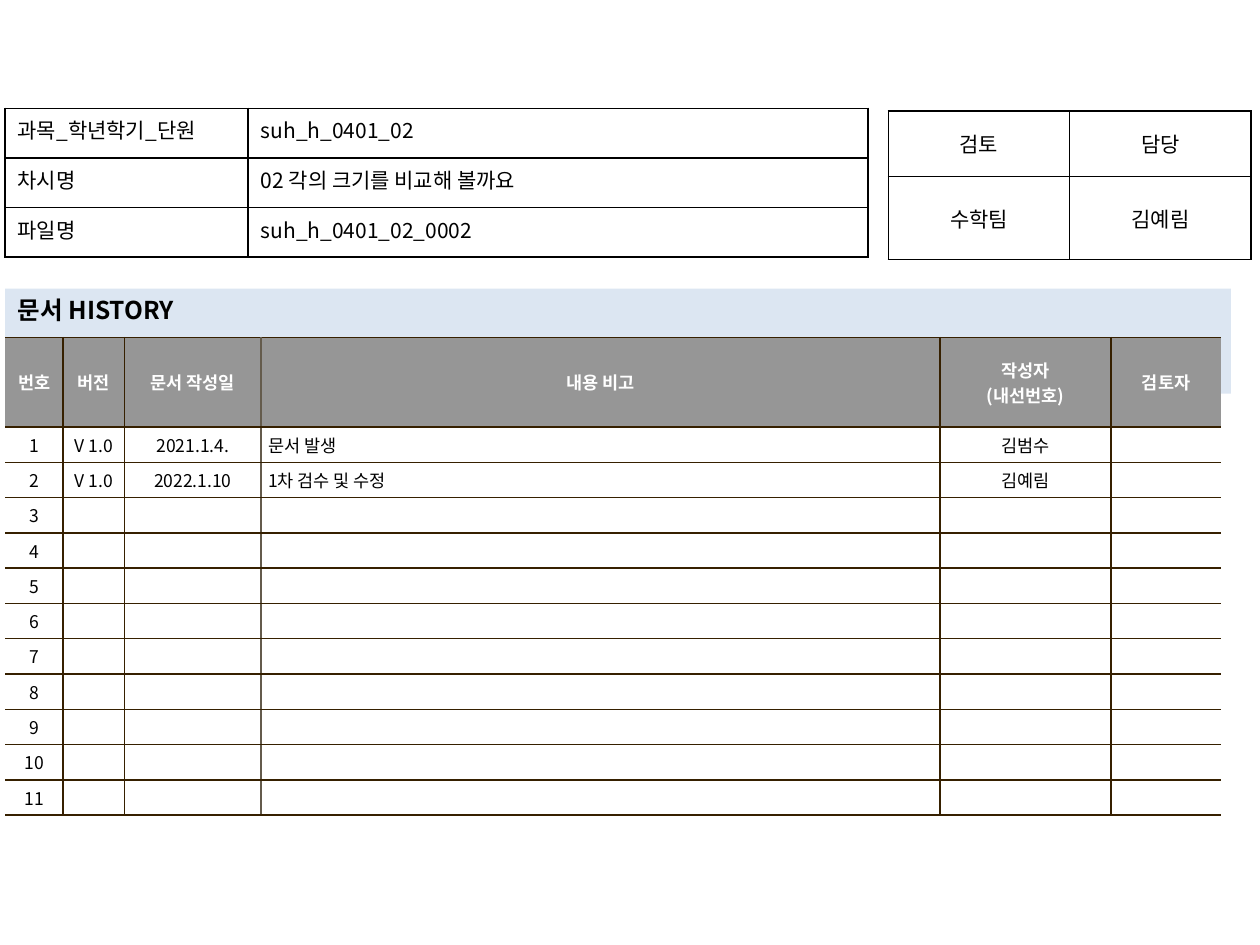
"""Build the document history page of a lesson storyboard."""
from dataclasses import dataclass, field

from lxml.etree import SubElement
from pptx import Presentation
from pptx.dml.color import RGBColor
from pptx.enum.text import MSO_ANCHOR, MSO_AUTO_SIZE, PP_ALIGN
from pptx.oxml.ns import qn
from pptx.util import Inches, Pt

SLIDE_WIDTH, SLIDE_HEIGHT = Inches(10), Inches(7.5)
UNIT = SLIDE_WIDTH / 100
FONT = "Noto Sans CJK KR"
COLORS = {
    "black": "000000",
    "white": "FFFFFF",
    "bar": "DCE6F2",
    "header": "969696",
    "brown": "362000",
    "taupe": "645B4C",
}
LEFT, CENTER, JUSTIFY = PP_ALIGN.LEFT, PP_ALIGN.CENTER, PP_ALIGN.JUSTIFY


@dataclass
class TextStyle:
    """Look of a run of text."""

    size: float
    color: str = "black"
    bold: bool = False


@dataclass
class Grid:
    """A table measured in units of one hundredth of the slide width."""

    left: float
    top: float
    columns: list[float]
    rows: list[float]
    texts: list[list[str]]
    aligns: list[PP_ALIGN]
    style: TextStyle
    line: str
    margins: tuple[float, float] = (1, 0.5)
    anchor: MSO_ANCHOR = MSO_ANCHOR.MIDDLE
    header_style: TextStyle | None = None
    body_fill: str | None = None
    open_sides: bool = False
    column_lines: dict[int, str] = field(default_factory=dict)
    hanging: dict[int, float] = field(default_factory=dict)


def units(value: float) -> int:
    """Turn grid units into a length."""
    return round(value * UNIT)


def rgb(name: str) -> RGBColor:
    """Look up a named colour."""
    return RGBColor.from_string(COLORS[name])


def apply(target: object, values: dict) -> None:
    """Set attributes from a dict of format values."""
    for name, value in values.items():
        setattr(target, name, value)


def write(para, text: str, style: TextStyle, align: PP_ALIGN) -> None:
    """Put one styled span in a paragraph, or size an empty one."""
    para.alignment = align
    if not text:
        SubElement(para._p, qn("a:endParaRPr"), sz=str(style.size * 100))
        return
    span = para.add_run()
    span.text = text
    apply(span.font, {"name": FONT, "size": Pt(style.size), "bold": style.bold})
    span.font.color.rgb = rgb(style.color)
    SubElement(span.font._element, qn("a:ea"), typeface=FONT)


def draw_borders(cell, sides: dict[str, str | None]) -> None:
    """Line the sides of a cell, leaving out those without a colour."""
    properties = cell._tc.get_or_add_tcPr()
    for index, (side, color) in enumerate(sides.items()):
        line = SubElement(properties, qn(f"a:ln{side}"), w=str(Pt(1)))
        properties.insert(index, line)
        if color:
            fill = SubElement(line, qn("a:solidFill"))
            SubElement(fill, qn("a:srgbClr"), val=COLORS[color])
        else:
            SubElement(line, qn("a:noFill"))


def draw_cell(cell, grid: Grid, row: int, column: int) -> None:
    """Fill, line and write one cell of a grid."""
    is_header = row == 0 and grid.header_style is not None
    style = grid.header_style if is_header else grid.style
    fill = "header" if is_header else grid.body_fill
    across, down = map(units, grid.margins)
    apply(cell, {
        "margin_left": across, "margin_right": across,
        "margin_top": down, "margin_bottom": down,
        "vertical_anchor": grid.anchor,
    })
    if fill:
        cell.fill.solid()
        cell.fill.fore_color.rgb = rgb(fill)
    else:
        cell.fill.background()

    edges = [grid.column_lines.get(edge, grid.line) for edge in range(len(grid.columns) + 1)]
    if grid.open_sides:
        edges[0] = edges[-1] = None
    draw_borders(cell, {"L": edges[column], "R": edges[column + 1], "T": grid.line, "B": grid.line})

    frame = cell.text_frame
    for index, text in enumerate(grid.texts[row][column].split("\n")):
        para = frame.add_paragraph() if index else frame.paragraphs[0]
        if column in grid.hanging and not is_header:
            hang = units(grid.hanging[column])
            properties = para._p.get_or_add_pPr()
            properties.set("marL", str(hang))
            properties.set("indent", str(-hang))
        write(para, text, style, CENTER if is_header else grid.aligns[column])


def draw_grid(page, grid: Grid) -> None:
    """Add a grid to the page as a table."""
    table = page.shapes.add_table(
        len(grid.rows), len(grid.columns), units(grid.left), units(grid.top),
        units(sum(grid.columns)), units(sum(grid.rows)),
    ).table
    apply(table, {"first_row": False, "horz_banding": False})
    for column, width in zip(table.columns, grid.columns):
        column.width = units(width)
    for row, height in zip(table.rows, grid.rows):
        row.height = units(height)
    for row in range(len(grid.rows)):
        for column in range(len(grid.columns)):
            draw_cell(table.cell(row, column), grid, row, column)


def draw_title(page, text: str) -> None:
    """Turn the title placeholder into the heading bar."""
    box = page.shapes.title
    apply(box, {"left": units(0.4), "top": units(22.9), "width": units(97.3), "height": units(3.4)})
    box.fill.solid()
    box.fill.fore_color.rgb = rgb("bar")
    frame = box.text_frame
    apply(frame, {
        "word_wrap": True, "auto_size": MSO_AUTO_SIZE.SHAPE_TO_FIT_TEXT,
        "vertical_anchor": MSO_ANCHOR.TOP,
    })
    write(frame.paragraphs[0], text, TextStyle(14, bold=True), LEFT)


ENTRIES = [
    ["V 1.0", "2021.1.4.", "문서 발생", "김범수", ""],
    ["V 1.0", "2022.1.10", "1차 검수 및 수정", "김예림", ""],
]
ENTRY_COUNT = 11
BLANK_ENTRIES = [[""] * 5] * (ENTRY_COUNT - len(ENTRIES))

HISTORY = Grid(
    0.4, 26.8, [4.6, 4.9, 10.8, 53.9, 13.6, 8.7], [7.1] + [2.8] * ENTRY_COUNT,
    [["번호", "버전", "문서 작성일", "내용 비고", "작성자\n(내선번호)", "검토자"]]
    + [[str(number), *entry] for number, entry in enumerate(ENTRIES + BLANK_ENTRIES, 1)],
    [CENTER, CENTER, CENTER, LEFT, CENTER, CENTER], TextStyle(10), "brown",
    margins=(0.6, 0.4), header_style=TextStyle(10, "white", True), body_fill="white",
    open_sides=True, column_lines={3: "taupe"}, hanging={3: 1.9},
)
REVIEW = Grid(
    70.5, 8.8, [14.4] * 2, [5.2, 6.6],
    [["검토", "담당"], ["수학팀", "김예림"]],
    [CENTER, CENTER], TextStyle(12), "black",
)
LESSON = Grid(
    0.4, 8.6, [19.3, 49.2], [11.8 / 3] * 3,
    [
        ["과목_학년학기_단원", "suh_h_0401_02"],
        ["차시명", "02 각의 크기를 비교해 볼까요"],
        ["파일명", "suh_h_0401_02_0002"],
    ],
    [JUSTIFY, LEFT], TextStyle(12), "black", anchor=MSO_ANCHOR.TOP,
)


def main() -> None:
    """Build and save the deck."""
    deck = Presentation()
    apply(deck, {"slide_width": SLIDE_WIDTH, "slide_height": SLIDE_HEIGHT})
    page = deck.slides.add_slide(deck.slide_layouts[5])
    draw_title(page, "문서 HISTORY")
    for grid in (HISTORY, REVIEW, LESSON):
        draw_grid(page, grid)
    deck.save("out.pptx")


if __name__ == "__main__":
    main()
